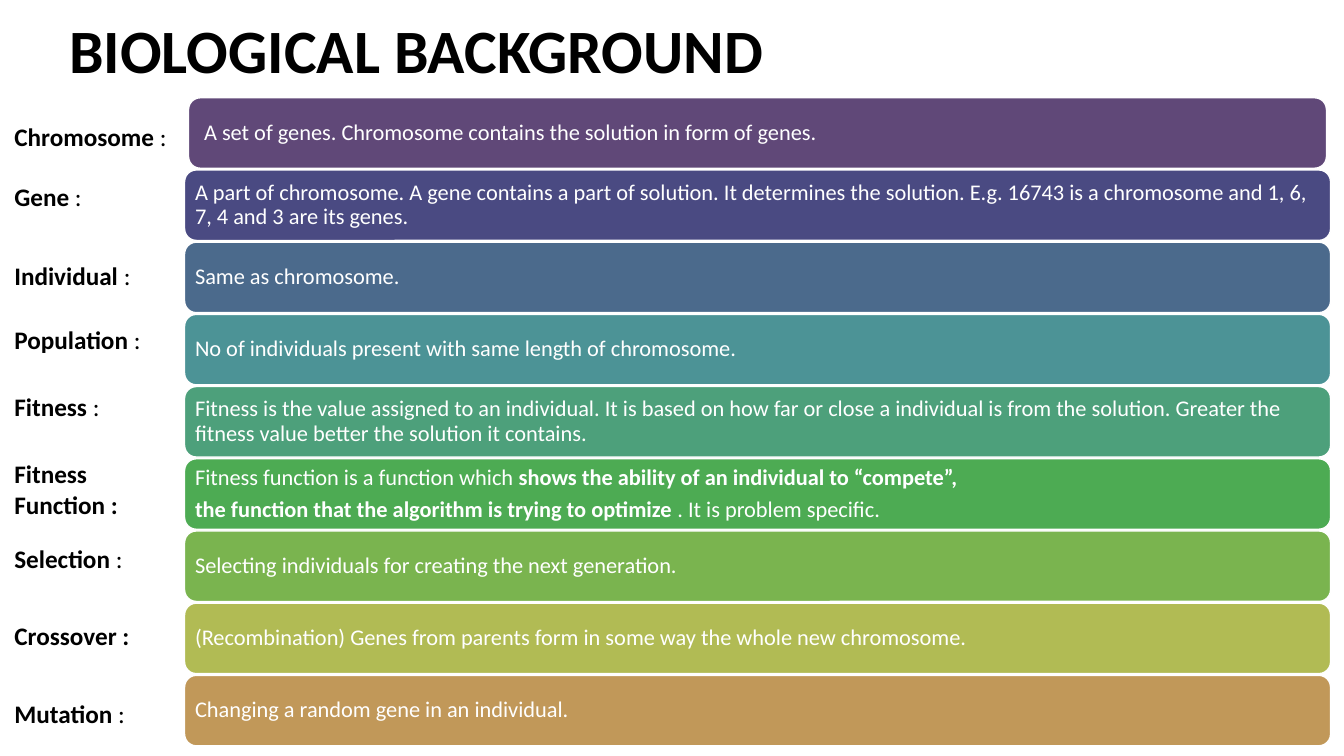
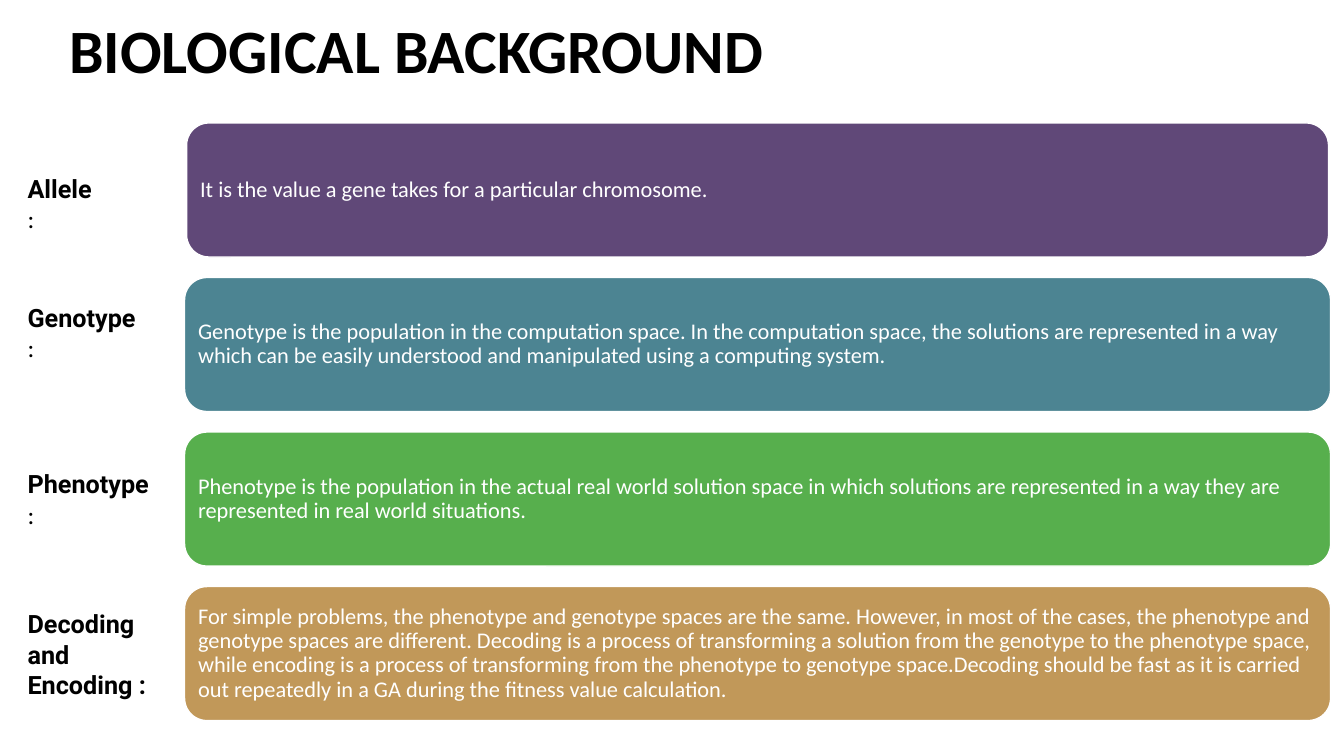
from typing import NamedTuple

from pptx import Presentation
from pptx.dml.color import RGBColor
from pptx.enum.shapes import MSO_SHAPE
from pptx.enum.text import MSO_ANCHOR, PP_ALIGN
from pptx.util import Inches, Pt

ROUNDED = MSO_SHAPE.ROUNDED_RECTANGLE
MIDDLE = MSO_ANCHOR.MIDDLE
LEFT = PP_ALIGN.LEFT

SLIDE_WIDTH, SLIDE_HEIGHT = Inches(13.33), Inches(7.5)
BODY_FONT = "Calibri"
COLORS = {
    "black": "000000",
    "white": "FFFFFF",
    "purple": "604878",
    "indigo": "4A4A82",
    "blue": "4B6A8C",
    "steel": "4C8492",
    "teal": "4C9396",
    "sea": "4DA07B",
    "green": "4DAB53",
    "leaf": "57AF4D",
    "lime": "7AB44F",
    "olive": "B1BB54",
    "tan": "C19859",
}

# All places and sizes are percentages of the slide's width or height.
TITLE_AREA = (4.42, 1.47, 82.5, 11.33)
BAR_LEFT, BAR_WIDTH = 13.73, 85.27
LABEL_LINE, LABEL_PADDING = 4.07, 1.27


class Row(NamedTuple):
    """A term with its bar; label and text are paragraphs of (words, bold) spans."""
    label: list
    label_top: float
    label_width: float
    color: str
    text: list


class Layout(NamedTuple):
    """Vertical rhythm of the bars, and how far the first one is drawn in."""
    top: float
    step: float
    bar_height: float
    first_inset: float
    label_left: float
    label_font: str


def plain(words):
    return [[(words, False)]]


def term(name, colon):
    return [[(name, True), (colon, False)]]


def bold_lines(*lines):
    return [[(line, True)] for line in lines]


TERMS_LAYOUT = Layout(12.93, 9.55, 9.33, 0.3, 0.33, BODY_FONT)
TERMS = [
    Row(term("Chromosome", " :"), 15.33, 14, "purple",
        plain(" A set of genes. Chromosome contains the solution in form of genes.")),
    Row(term("Gene ", ":"), 23.33, 14, "indigo",
        plain("A part of chromosome. A gene contains a part of solution. It determines "
              "the solution. E.g. 16743 is a chromosome and 1, 6, 7, 4 and 3 are its genes.")),
    Row(term("Individual ", ":"), 33.73, 14, "blue", plain("Same as chromosome.")),
    Row(term("Population ", ":"), 42.27, 14, "teal",
        plain("No of individuals present with same length of chromosome.")),
    Row(term("Fitness", " :"), 51.07, 14, "sea",
        plain("Fitness is the value assigned to an individual. It is based on how far or "
              "close a individual is from the solution. Greater the fitness value better "
              "the solution it contains.")),
    Row(bold_lines("Fitness", "Function :"), 60, 14, "green", [
        [("Fitness function is a function which ", False),
         ("shows the ability of an individual to “compete”,", True)],
        [("the function that the algorithm is trying to optimize ", True),
         (". It is problem specific.", False)],
    ]),
    Row(term("Selection ", ":"), 71.2, 14, "lime",
        plain("Selecting individuals for creating the next generation.")),
    Row(bold_lines("Crossover :"), 81.33, 14, "olive",
        plain("(Recombination) Genes from parents form in some way the whole new chromosome.")),
    Row(term("Mutation ", ":"), 91.73, 14, "tan",
        plain("Changing a random gene in an individual.")),
]

SPACES_LAYOUT = Layout(16.27, 20.44, 17.73, 0.15, 1.31, "Roboto")
SPACES = [
    Row(term("Allele", " :"), 22.27, 6.9, "purple",
        plain("It is the value a gene takes for a particular chromosome.")),
    Row(term("Genotype ", ":"), 39.33, 10.1, "steel",
        plain("Genotype is the population in the computation space. In the computation "
              "space, the solutions are represented in a way which can be easily "
              "understood and manipulated using a computing system.")),
    Row(term("Phenotype ", ":"), 61.33, 10.95, "leaf",
        plain("Phenotype is the population in the actual real world solution space in "
              "which solutions are represented in a way they are represented in real "
              "world situations.")),
    Row(bold_lines("Decoding", "and", "Encoding :"), 79.87, 10.95, "tan",
        plain("For simple problems, the phenotype and genotype spaces are the same. "
              "However, in most of the cases, the phenotype and genotype spaces are "
              "different. Decoding is a process of transforming a solution from the "
              "genotype to the phenotype space, while encoding is a process of "
              "transforming from the phenotype to genotype space.Decoding should be fast "
              "as it is carried out repeatedly in a GA during the fitness value "
              "calculation.")),
]


def place(left, top, width, height):
    """Turn percentages of the slide into lengths."""
    return (int(SLIDE_WIDTH * left / 100), int(SLIDE_HEIGHT * top / 100),
            int(SLIDE_WIDTH * width / 100), int(SLIDE_HEIGHT * height / 100))


def color(name):
    return RGBColor.from_string(COLORS[name])


def write(frame, paragraphs, size, color_name, bold_font=BODY_FONT, line_spacing=1.0, gap=0):
    frame.word_wrap = True
    for index, spans in enumerate(paragraphs):
        para = frame.add_paragraph() if index else frame.paragraphs[0]
        para.alignment = LEFT
        para.line_spacing = line_spacing
        if index:
            para.space_before = Pt(gap)
        for words, bold in spans:
            span = para.add_run()
            span.text = words
            span.font.name = bold_font if bold else BODY_FONT
            span.font.size = Pt(size)
            span.font.bold = bold
            span.font.color.rgb = color(color_name)


def add_title(page, title):
    frame = page.shapes.add_textbox(*place(*TITLE_AREA)).text_frame
    frame.vertical_anchor = MIDDLE
    write(frame, bold_lines(title), 44, "black", line_spacing=0.9)


def add_bar(page, area, row):
    bar = page.shapes.add_shape(ROUNDED, *place(*area))
    bar.shadow.inherit = False
    bar.fill.solid()
    bar.fill.fore_color.rgb = color(row.color)
    bar.line.color.rgb = color("white")
    bar.line.width = Pt(1)
    frame = bar.text_frame
    frame.vertical_anchor = MIDDLE
    frame.margin_left = frame.margin_right = Inches(0.07)
    frame.margin_top = frame.margin_bottom = Inches(0.07)
    write(frame, row.text, 16, "white", line_spacing=0.9, gap=5.6)


def add_label(page, row, layout):
    height = len(row.label) * LABEL_LINE + LABEL_PADDING
    area = place(layout.label_left, row.label_top, row.label_width, height)
    frame = page.shapes.add_textbox(*area).text_frame
    write(frame, row.label, 18, "black", bold_font=layout.label_font)


def add_glossary_page(deck, title, rows, layout):
    page = deck.slides.add_slide(deck.slide_layouts[6])
    add_title(page, title)
    for index, row in enumerate(rows):
        inset = 0 if index else layout.first_inset
        area = (BAR_LEFT + inset, layout.top + index * layout.step,
                BAR_WIDTH - 2 * inset, layout.bar_height)
        add_bar(page, area, row)
        add_label(page, row, layout)


def main():
    deck = Presentation()
    deck.slide_width, deck.slide_height = SLIDE_WIDTH, SLIDE_HEIGHT
    for rows, layout in ((TERMS, TERMS_LAYOUT), (SPACES, SPACES_LAYOUT)):
        add_glossary_page(deck, "BIOLOGICAL BACKGROUND", rows, layout)
    deck.save("out.pptx")


if __name__ == "__main__":
    main()
